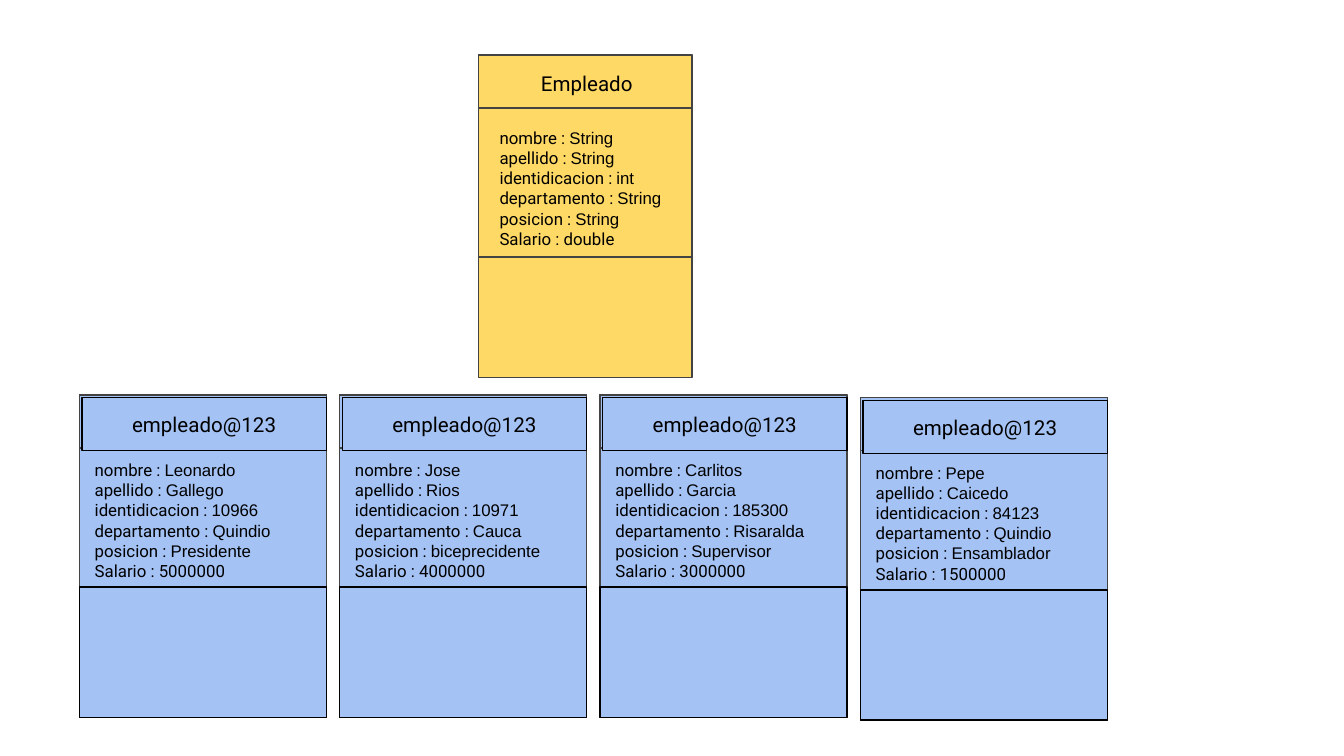
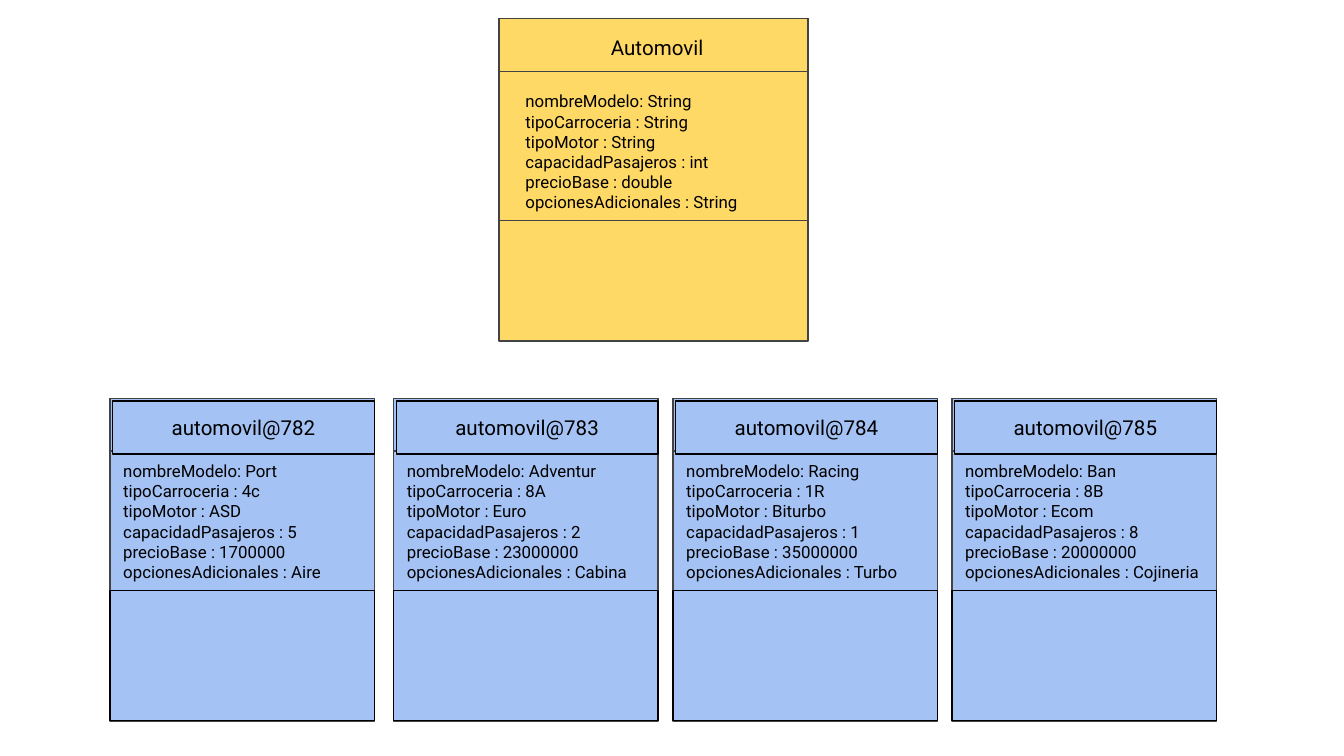
from pptx import Presentation
from pptx import util as u
from pptx.dml.color import RGBColor
from pptx.enum import shapes, text
from pptx.oxml import xmlchemy as xc

Cm, Pt = u.Cm, u.Pt
YELLOW = RGBColor(0xFF, 0xD9, 0x66)
BLUE = RGBColor(0xA4, 0xC2, 0xF4)
GREY = RGBColor(0x43, 0x43, 0x43)
BLACK = RGBColor(0, 0, 0)
FONT = "Roboto"
BOX_H, HEAD_H, ATTR_H, METHOD_H = 6.1, 1.0, 2.82, 2.46
METHOD_Y = 3.63  # from the top of an object box to its methods
INSET = 0.05     # shift of the header inside an object box


def write(shape, lines, size=9, align=text.PP_ALIGN.LEFT,
          anchor=text.MSO_ANCHOR.TOP, value_font=FONT):
    """Fill a shape with lines; values after the colon may have their own font."""
    tf = shape.text_frame
    tf.word_wrap = True
    tf.auto_size = text.MSO_AUTO_SIZE.NONE
    tf.vertical_anchor = anchor
    tf.margin_left = tf.margin_right = Cm(0.25)
    tf.margin_top = tf.margin_bottom = Cm(0.25)
    for i, line in enumerate(lines):
        p = tf.add_paragraph() if i else tf.paragraphs[0]
        p.alignment = align
        p.space_before = Pt(0)
        pPr = p._p.get_or_add_pPr()
        pPr.set("marL", "0")
        pPr.set("indent", "0")
        pPr.append(xc.OxmlElement("a:buNone"))
        parts = [(line, FONT)]
        if value_font != FONT and i < len(lines) - 1:
            label, colon, value = line.partition(": ")
            parts = [(label + colon, FONT), (value, value_font)]
        for words, font in parts:
            r = p.add_run()
            r.text = words
            r.font.name = font
            r.font.size = Pt(size)
            r.font.color.rgb = BLACK


class Diagram:
    """Style and current slide of a class diagram with its objects."""

    def __init__(self, prs, value_font=FONT):
        """Start a slide with title and body placeholders."""
        self.s = prs.slides.add_slide(prs.slide_layouts[1])
        self.value_font = value_font

    def rect(self, group, x, y, w, h, fill, line=GREY):
        """Add one outlined rectangle to a group."""
        sp = group.shapes.add_shape(shapes.MSO_SHAPE.RECTANGLE,
                                    Cm(x), Cm(y), Cm(w), Cm(h))
        sp.shadow.inherit = False
        sp.fill.solid()
        sp.fill.fore_color.rgb = fill
        sp.line.color.rgb = line
        sp.line.width = Pt(0.75)
        return sp

    def heading(self, sp, name):
        """Write a centred box name."""
        write(sp, [name], size=11, align=text.PP_ALIGN.CENTER,
              anchor=text.MSO_ANCHOR.MIDDLE)

    def place(self, sp, x, y, w, h):
        """Move a placeholder and bring it to the front."""
        sp.left, sp.top, sp.width, sp.height = Cm(x), Cm(y), Cm(w), Cm(h)
        sp._element.getparent().append(sp._element)

    def class_box(self, name, lines, x, y, w, name_dx, attr_dx, attr_w):
        """Draw the class: name, attributes and an empty method area."""
        group = self.s.shapes.add_group_shape()
        for dy, h in ((0, BOX_H), (0, HEAD_H), (HEAD_H, ATTR_H)):
            self.rect(group, x, y + dy, w, h, YELLOW)
        title, body = self.s.placeholders
        self.place(title, x + name_dx, y + 0.04, w, HEAD_H)
        self.heading(title, name)
        self.place(body, x + attr_dx, y + 1.12, attr_w, ATTR_H)
        write(body, lines, value_font=self.value_font)

    def object_box(self, name, lines, x, y, w, text_dx, text_dy, text_w):
        """Draw an object with its values and an empty method area."""
        group = self.s.shapes.add_group_shape()
        self.rect(group, x, y, w, BOX_H, BLUE)
        self.rect(group, x, y, w, HEAD_H, BLUE)
        head = self.rect(group, x + INSET, y + INSET, w - INSET, HEAD_H,
                         BLUE, BLACK)
        self.heading(head, name)
        self.rect(group, x, y + METHOD_Y, w, METHOD_H, BLUE, BLACK)
        tb = self.s.shapes.add_textbox(Cm(x + text_dx), Cm(y + text_dy),
                                       Cm(text_w), Cm(ATTR_H))
        write(tb, lines, value_font=self.value_font)


def fill_in(labels, values):
    """Join each label with its value."""
    return [label + value for label, value in zip(labels, values)]


prs = Presentation()
prs.slide_width, prs.slide_height = Cm(25.4), Cm(14.29)

# Employees
labels = ["nombre : ", "apellido : ", "identidicacion : ", "departamento : ",
          "posicion : ", "Salario : "]
types = ["String", "String", "int", "String", "String", "double"]
employees = [
    ("Leonardo", "Gallego", "10966", "Quindio", "Presidente", "5000000"),
    ("Jose", "Rios", "10971", "Cauca", "biceprecidente", "4000000"),
    ("Carlitos", "Garcia", "185300", "Risaralda", "Supervisor", "3000000"),
    ("Pepe", "Caicedo", "84123", "Quindio", "Ensamblador", "1500000"),
]
d = Diagram(prs, value_font="Arial")
d.class_box("Empleado", fill_in(labels, types), 9.04, 1.04, 4.04,
            name_dx=0.03, attr_dx=0.15, attr_w=3.66)
tops = [7.47, 7.47, 7.47, 7.52]
for i, (values, top) in enumerate(zip(employees, tops)):
    d.object_box("empleado@123", fill_in(labels, values), 1.5 + 4.92 * i, top,
                 4.67, text_dx=0.04, text_dy=0.97, text_w=4.5)

# Cars
labels = ["nombreModelo: ", "tipoCarroceria : ", "tipoMotor : ",
          "capacidadPasajeros : ", "precioBase : ", "opcionesAdicionales : "]
types = ["String", "String", "String", "int", "double", "String"]
cars = [
    (2.08, ("Port", "4c", "ASD", "5", "1700000", "Aire")),
    (7.44, ("Adventur", "8A", "Euro", "2", "23000000", "Cabina")),
    (12.72, ("Racing", "1R", "Biturbo", "1", "35000000", "Turbo")),
    (17.99, ("Ban", "8B", "Ecom", "8", "20000000", "Cojineria")),
]
d = Diagram(prs)
d.class_box("Automovil", fill_in(labels, types), 9.43, 0.35, 5.84,
            name_dx=0.07, attr_dx=0.25, attr_w=5.26)
for number, (left, values) in enumerate(cars, start=782):
    d.object_box(f"automovil@{number}", fill_in(labels, values), left, 7.53,
                 5.0, text_dx=0, text_dy=0.93, text_w=5.23)

prs.save("out.pptx")
